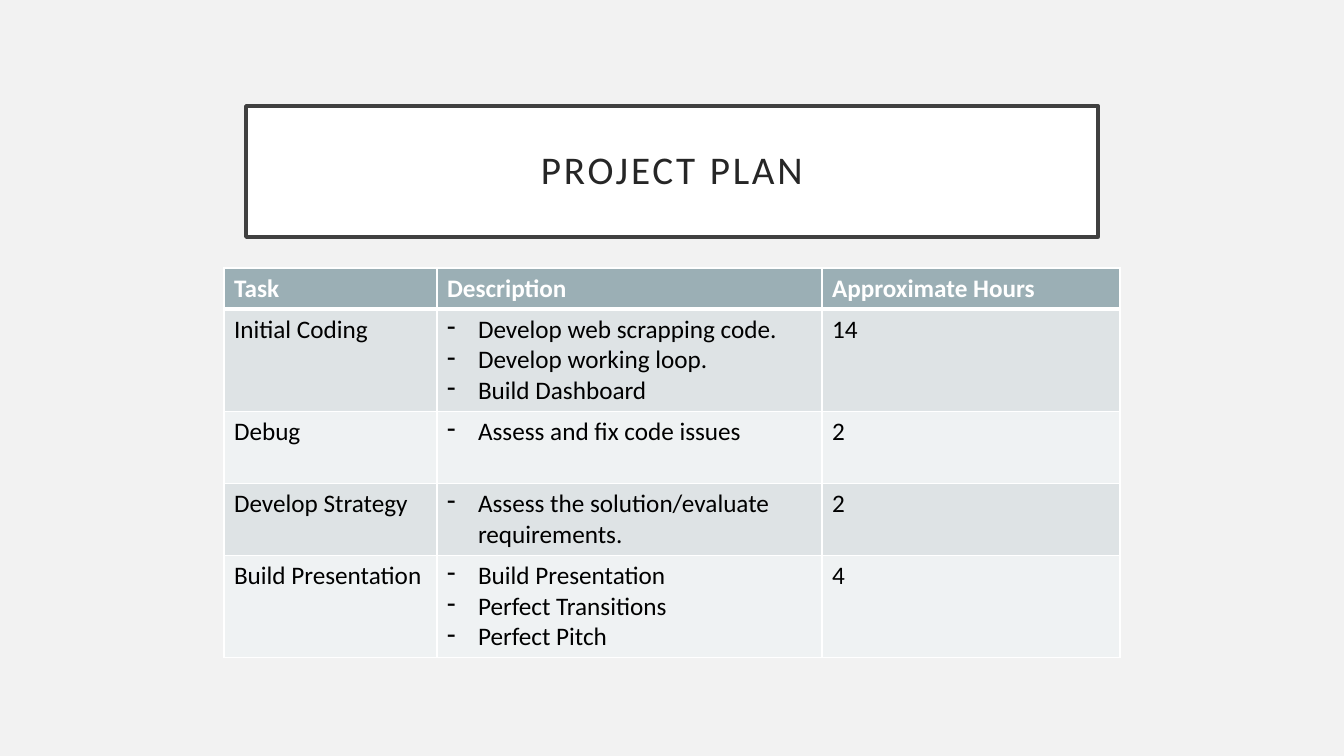
from lxml import etree
from pptx import Presentation
from pptx import util as u
from pptx.dml.color import RGBColor
from pptx.enum import text
from pptx.oxml import ns

EMU_PER_PX = 914400 / 100.8
FONT = "Calibri"
WHITE, BLACK = "FFFFFF", "000000"
HEADER_FILL, BAND_FILLS = "9BAFB5", ("DEE3E5", "EFF2F3")
INDENT = 31

HEADINGS = ("Task", "Description", "Approximate Hours")
COLUMN_WIDTHS = (213, 385, 298)
HEADER_HEIGHT = 41
TASKS = (
    # task, description points, hours, row height
    ("Initial Coding",
     ("Develop web scrapping code.", "Develop working loop.", "Build Dashboard"), "14", 102),
    ("Debug", ("Assess and fix code issues",), "2", 72),
    ("Develop Strategy", ("Assess the solution/evaluate requirements.",), "2", 72),
    ("Build Presentation",
     ("Build Presentation", "Perfect Transitions", "Perfect Pitch"), "4", 102),
)


def px(length):
    return u.Emu(round(length * EMU_PER_PX))


def rgb(color):
    return RGBColor.from_string(color)


def paint(fill, color):
    fill.solid()
    fill.fore_color.rgb = rgb(color)


def style_font(font, size, color, bold=False):
    font.name, font.size, font.bold = FONT, u.Pt(size), bold
    font.color.rgb = rgb(color)


def add_dash(paragraph):
    """Give the paragraph a hanging dash bullet."""
    properties = paragraph._p.get_or_add_pPr()
    properties.set("marL", str(px(INDENT)))
    properties.set("indent", str(-px(INDENT)))
    bullet = etree.Element(ns.qn("a:buChar"), char="-")
    properties.insert_element_before(bullet, "a:tabLst", "a:defRPr", "a:extLst")


def add_borders(cell, top, bottom):
    """Draw white borders; top and bottom are widths in points."""
    properties = cell._tc.get_or_add_tcPr()
    for side, width in (("L", 1), ("R", 1), ("T", top), ("B", bottom)):
        line = etree.SubElement(properties, ns.qn(f"a:ln{side}"), w=str(u.Pt(width)))
        solid = etree.SubElement(line, ns.qn("a:solidFill"))
        etree.SubElement(solid, ns.qn("a:srgbClr"), val=WHITE)


def fill_cell(cell, lines, fill, color=BLACK, bold=False, dashed=False, top=1, bottom=1):
    add_borders(cell, top, bottom)
    paint(cell.fill, fill)
    cell.text_frame.text = "\n".join(lines)
    for paragraph in cell.text_frame.paragraphs:
        if dashed:
            add_dash(paragraph)
        style_font(paragraph.font, 18, color, bold)


def format_title(title):
    title.left, title.top, title.width, title.height = map(px, (246, 106, 852, 131))
    paint(title.fill, WHITE)
    paint(title.line.fill, "404040")
    title.line.width = u.Pt(2.5)
    frame = title.text_frame
    frame.text = "PROJECT PLAN"
    frame.word_wrap = True
    frame.auto_size = text.MSO_AUTO_SIZE.NONE
    frame.vertical_anchor = text.MSO_ANCHOR.MIDDLE
    frame.margin_left = frame.margin_right = px(20)
    frame.margin_top = frame.margin_bottom = px(20)
    heading = frame.paragraphs[0]
    heading.alignment = text.PP_ALIGN.CENTER
    heading.line_spacing = 0.9
    style_font(heading.font, 28, "262626")
    heading.runs[0]._r.get_or_add_rPr().set("spc", "200")


def add_plan(slide):
    heights = [HEADER_HEIGHT] + [task[-1] for task in TASKS]
    plan = slide.shapes.add_table(
        len(heights), len(HEADINGS), px(224), px(268),
        px(sum(COLUMN_WIDTHS)), px(sum(heights))).table
    for column, width in zip(plan.columns, COLUMN_WIDTHS):
        column.width = px(width)
    for row, height in zip(plan.rows, heights):
        row.height = px(height)
    for index, heading in enumerate(HEADINGS):
        fill_cell(plan.cell(0, index), [heading], HEADER_FILL, WHITE, bold=True, bottom=3)
    for number, (task, points, hours, _) in enumerate(TASKS, 1):
        band = BAND_FILLS[(number - 1) % 2]
        top = 3 if number == 1 else 1
        for index, lines in enumerate(([task], points, [hours])):
            fill_cell(plan.cell(number, index), lines, band, dashed=index == 1, top=top)


def main():
    deck = Presentation()
    deck.slide_width, deck.slide_height = px(1344), px(756)
    slide = deck.slides.add_slide(deck.slide_layouts[5])
    paint(slide.background.fill, "F2F2F2")
    format_title(slide.shapes.title)
    add_plan(slide)
    deck.save("out.pptx")


if __name__ == "__main__":
    main()
